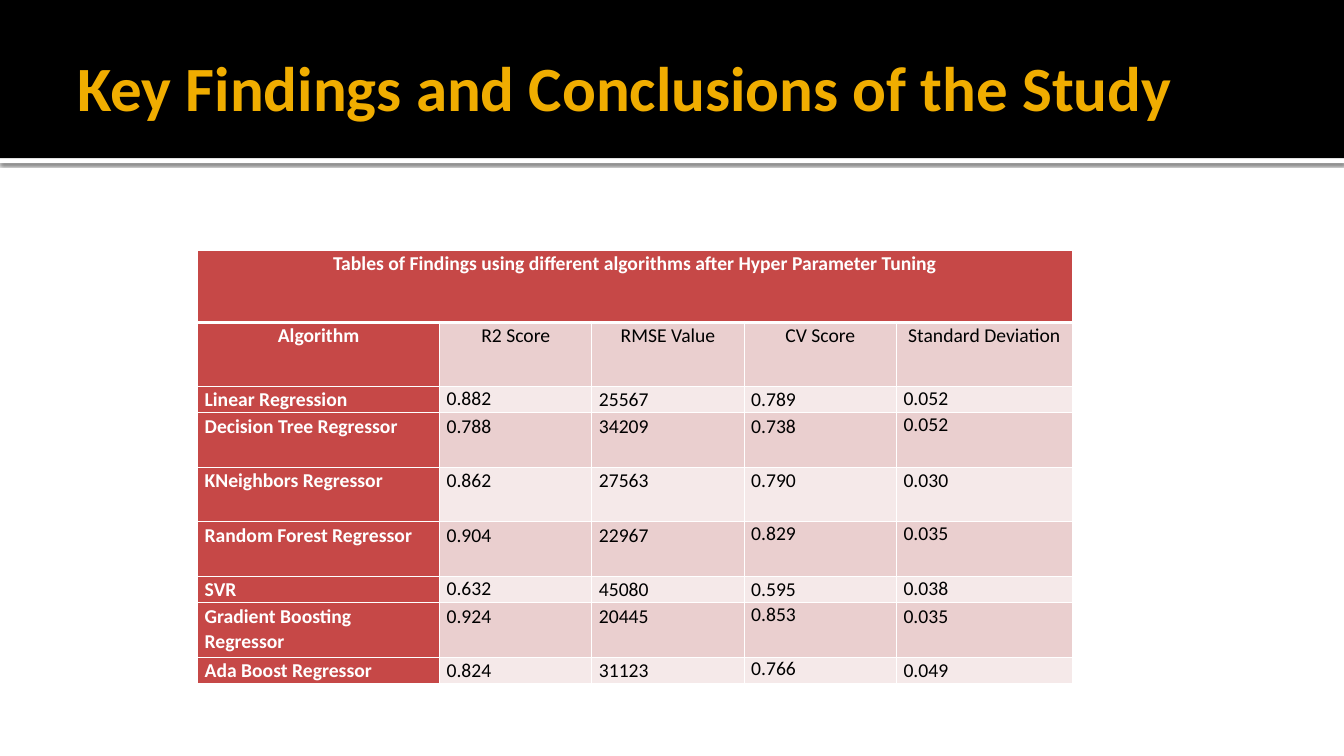
from lxml.etree import SubElement as Sub
from pptx import Presentation
from pptx.dml.color import RGBColor as RGB
from pptx.enum.shapes import MSO_SHAPE as Shape
from pptx.enum.text import MSO_ANCHOR as Anchor, MSO_AUTO_SIZE as Auto, PP_ALIGN as Align
from pptx.oxml.ns import qn
from pptx.util import Pt

BLACK = RGB(0x00, 0x00, 0x00)
WHITE = RGB(0xFF, 0xFF, 0xFF)
GOLD = RGB(0xF0, 0xAD, 0x00)
RED = RGB(0xC6, 0x48, 0x47)
ROSE = RGB(0xEA, 0xCF, 0xCF)
PALE = RGB(0xF5, 0xE9, 0xE9)

FONT = "Calibri"
WIDTH, HEIGHT = 960, 540
BAND = 113
COLS = [172.8, 108.8, 108.8, 108.8, 125.5]
SHORT, TALL = 18.8, 39
ROWS = [51.8, 45.6, SHORT, TALL, TALL, TALL, SHORT, TALL, SHORT]
DATA = [
    ["Tables of Findings using different algorithms after Hyper Parameter Tuning"],
    ["Algorithm", "R2 Score", "RMSE Value", "CV Score", "Standard Deviation"],
    ["Linear Regression", "0.882", "25567", "0.789", "0.052"],
    ["Decision Tree Regressor", "0.788", "34209", "0.738", "0.052"],
    ["KNeighbors Regressor", "0.862", "27563", "0.790", "0.030"],
    ["Random Forest Regressor", "0.904", "22967", "0.829", "0.035"],
    ["SVR", "0.632", "45080", "0.595", "0.038"],
    ["Gradient Boosting Regressor", "0.924", "20445", "0.853", "0.035"],
    ["Ada Boost Regressor", "0.824", "31123", "0.766", "0.049"],
]
SINGLE = {(2, 1), (2, 4), (3, 4), (5, 3), (5, 4), (6, 1), (6, 4), (7, 3), (8, 3)}


def style(font, size, color, bold):
    font.name = FONT
    font.size = Pt(size)
    font.bold = bold
    font.color.rgb = color


def add_bar(slide, top, height, color):
    bar = slide.shapes.add_shape(Shape.RECTANGLE, 0, Pt(top), Pt(WIDTH), Pt(height))
    bar.shadow.inherit = False
    bar.fill.solid()
    bar.fill.fore_color.rgb = color
    bar.line.fill.background()
    return bar


def add_shadow(bar):
    effects = bar._element.spPr.find(qn("a:effectLst"))
    shadow = Sub(effects, qn("a:outerShdw"), blurRad=str(Pt(2.5)), dist=str(Pt(0.8)),
                 dir="5400000", algn="tl", rotWithShape="0")
    color = Sub(shadow, qn("a:srgbClr"), val=str(BLACK))
    Sub(color, qn("a:alpha"), val="60000")


def set_title(slide, text):
    title = slide.shapes.title
    title.left, title.top, title.width, title.height = Pt(48), Pt(12), Pt(864), Pt(99)
    frame = title.text_frame
    frame.text = text
    frame.auto_size = Auto.NONE
    frame.vertical_anchor = Anchor.MIDDLE
    frame.margin_left = Pt(7.2)
    frame.margin_top = frame.margin_right = frame.margin_bottom = Pt(3.6)
    line = frame.paragraphs[0]
    line.alignment = Align.LEFT
    style(line.font, 45, GOLD, True)
    slide.shapes._spTree.append(title._element)


def set_edges(cell, row):
    props = cell._tc.get_or_add_tcPr()
    thick = {(0, "B"), (1, "T")}
    for side in "LRTB":
        width = Pt(3 if (row, side) in thick else 1)
        edge = Sub(props, qn("a:ln" + side), w=str(width))
        fill = Sub(edge, qn("a:solidFill"))
        Sub(fill, qn("a:srgbClr"), val=str(WHITE))


def set_cell(cell, row, col, text):
    head = row == 0 or col == 0
    set_edges(cell, row)
    cell.fill.solid()
    cell.fill.fore_color.rgb = RED if head else ROSE if row % 2 else PALE
    cell.margin_left = cell.margin_right = Pt(5)
    cell.margin_top = cell.margin_bottom = 0
    line = cell.text_frame.paragraphs[0]
    line.text = text
    line.alignment = Align.CENTER if row < 2 else Align.LEFT
    line.line_spacing = 1.0 if (row, col) in SINGLE else 1.07
    style(line.font, 14, WHITE if head else BLACK, head)


def add_grid(slide, left, top):
    table = slide.shapes.add_table(len(ROWS), len(COLS), Pt(left), Pt(top),
                                   Pt(sum(COLS)), Pt(sum(ROWS))).table
    for col, width in zip(table.columns, COLS):
        col.width = Pt(width)
    for row, height in zip(table.rows, ROWS):
        row.height = Pt(height)
    table.cell(0, 0).merge(table.cell(0, len(COLS) - 1))
    for row, texts in enumerate(DATA):
        for col, text in enumerate(texts):
            set_cell(table.cell(row, col), row, col, text)


def main():
    deck = Presentation()
    deck.slide_width, deck.slide_height = Pt(WIDTH), Pt(HEIGHT)
    slide = deck.slides.add_slide(deck.slide_layouts[5])
    add_shadow(add_bar(slide, BAND, 3.6, WHITE))
    add_bar(slide, 0, BAND, BLACK)
    set_title(slide, "Key Findings and Conclusions of the Study")
    add_grid(slide, 141.2, 178.6)
    deck.save("out.pptx")


if __name__ == "__main__":
    main()
